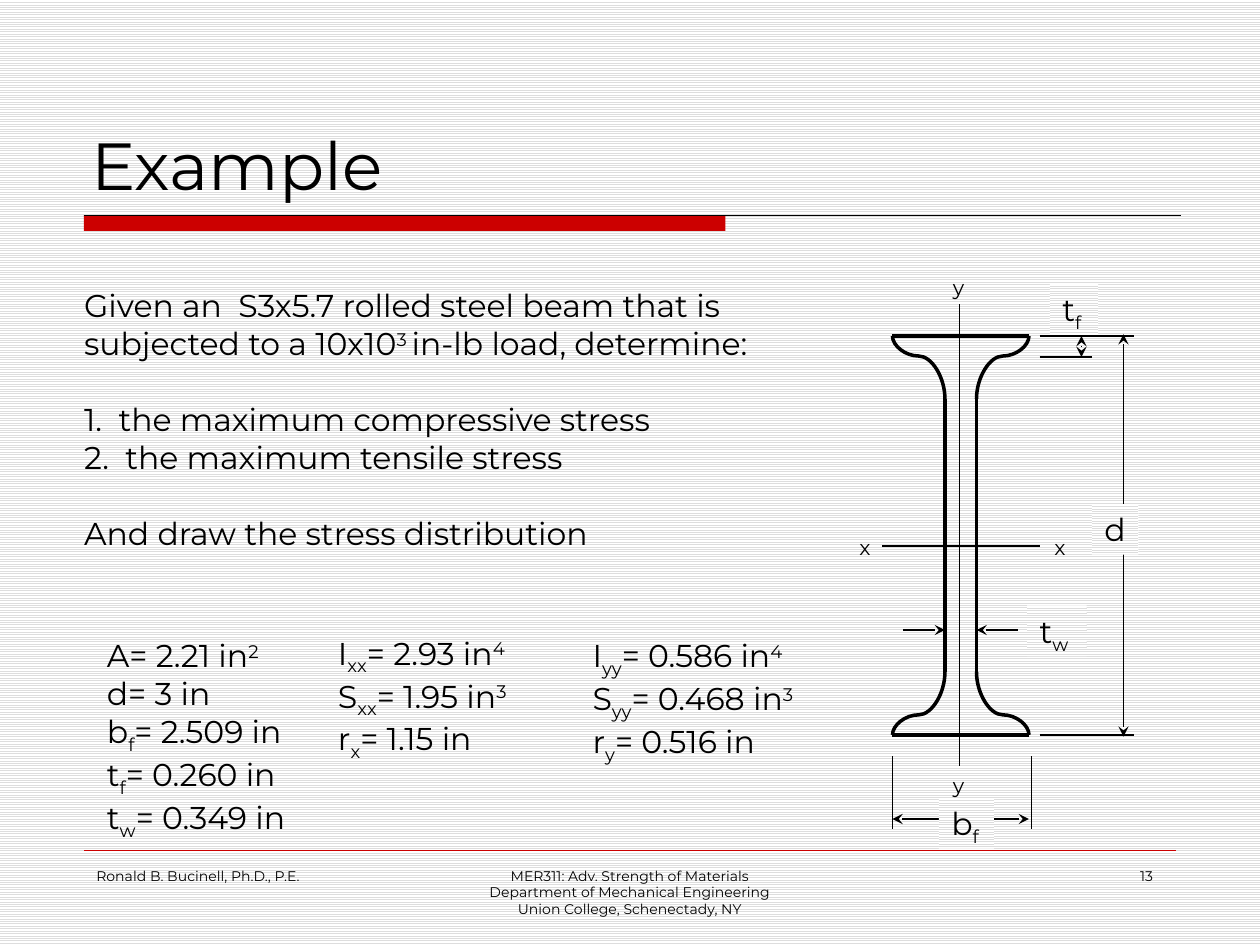
from dataclasses import dataclass

from lxml import etree
from pptx import Presentation
from pptx.dml import color, fill as fills
from pptx.enum import dml, shapes, text
from pptx.oxml import ns
from pptx.util import Pt

FONT = "Montserrat"
BLACK, RED, WHITE, STRIPE = "000000", "CC0000", "FFFFFF", "DDDDDD"

# Beam section edges, in points
FLANGE_LEFT, WEB_LEFT, WEB_RIGHT, FLANGE_RIGHT = 510, 540, 558, 588
TOP, WEB_TOP, WEB_BOTTOM, BOTTOM = 192, 228, 384, 420


@dataclass
class Line:
    x1: float
    y1: float
    x2: float
    y2: float
    width: float = 1
    head: bool = False
    tail: bool = False
    color: str = BLACK


@dataclass
class TextBox:
    """Lines of text; '|' splits runs, '_' starts a subscript, '^' a superscript."""
    left: float
    top: float
    width: float
    height: float
    lines: list[str]
    size: float = 18
    align: text.PP_ALIGN = text.PP_ALIGN.LEFT
    wrap: bool = False
    striped: bool = False
    spaced: tuple[int, ...] = ()  # lines with a line's gap above


def rgb(value: str) -> color.RGBColor:
    return color.RGBColor.from_string(value)


def fill_stripes(fill: fills.FillFormat) -> None:
    fill.patterned()
    fill.pattern = dml.MSO_PATTERN.LIGHT_HORIZONTAL
    fill.fore_color.rgb = rgb(STRIPE)
    fill.back_color.rgb = rgb(WHITE)


def style_connector(connector, width: float, line_color: str) -> None:
    connector.line.width = Pt(width)
    connector.line.color.rgb = rgb(line_color)
    etree.SubElement(connector._element.spPr, ns.qn("a:effectLst"))


def draw_line(slide, line: Line) -> None:
    connector = slide.shapes.add_connector(
        shapes.MSO_CONNECTOR.STRAIGHT,
        Pt(line.x1), Pt(line.y1), Pt(line.x2), Pt(line.y2))
    style_connector(connector, line.width, line.color)
    for tag, wanted in (("a:headEnd", line.head), ("a:tailEnd", line.tail)):
        if wanted:
            outline = connector.line._get_or_add_ln()
            etree.SubElement(outline, ns.qn(tag), type="stealth")


def draw_fillet(slide, side: int, end: int) -> None:
    """Curve from flange tip to web; side -1 left, 1 right; end -1 top, 1 bottom."""
    edges = (FLANGE_LEFT, WEB_LEFT) if side < 0 else (WEB_RIGHT, FLANGE_RIGHT)
    levels = (TOP, WEB_TOP) if end < 0 else (WEB_BOTTOM, BOTTOM)
    center_x, center_y = sum(edges) / 2, sum(levels) / 2
    # The box lies on its side, then is turned a quarter
    dx = -side * (levels[1] - levels[0]) / 2
    dy = end * (edges[1] - edges[0]) / 2
    connector = slide.shapes.add_connector(
        shapes.MSO_CONNECTOR.CURVE,
        Pt(center_x + dx), Pt(center_y + dy), Pt(center_x - dx), Pt(center_y - dy))
    properties = connector._element.spPr
    degrees = 270 if side == end else 90
    properties.find(ns.qn("a:xfrm")).set("rot", str(degrees * 60000))
    geometry = properties.find(ns.qn("a:prstGeom"))
    adjustments = geometry.find(ns.qn("a:avLst"))
    if adjustments is None:
        adjustments = etree.SubElement(geometry, ns.qn("a:avLst"))
    etree.SubElement(adjustments, ns.qn("a:gd"), name="adj1", fmla="val 31900")
    style_connector(connector, 2, BLACK)


def draw_text(slide, box: TextBox) -> None:
    shape = slide.shapes.add_textbox(
        Pt(box.left), Pt(box.top), Pt(box.width), Pt(box.height))
    if box.striped:
        fill_stripes(shape.fill)
    frame = shape.text_frame
    frame.word_wrap = box.wrap
    if not box.wrap:
        frame.auto_size = text.MSO_AUTO_SIZE.SHAPE_TO_FIT_TEXT
    for index, content in enumerate(box.lines):
        paragraph = frame.paragraphs[0] if index == 0 else frame.add_paragraph()
        paragraph.alignment = box.align
        paragraph.font.name = FONT
        paragraph.font.size = Pt(box.size)
        paragraph.font.color.rgb = rgb(BLACK)
        if index in box.spaced:
            paragraph.space_before = Pt(21.9)
        for part in content.split("|"):
            baseline = {"_": "-25000", "^": "30000"}.get(part[0])
            run = paragraph.add_run()
            run.text = part[1:] if baseline else part
            if baseline:
                run._r.get_or_add_rPr().set("baseline", baseline)


LINES = [
    # Title rule and footer rule
    Line(48, 123, 675, 123, 0.75),
    Line(48, 486, 672, 486, 0.25, color=RED),
    # Flanges and web
    *[Line(FLANGE_LEFT, y, FLANGE_RIGHT, y, 2) for y in (TOP, BOTTOM)],
    *[Line(x, WEB_TOP, x, WEB_BOTTOM, 2) for x in (WEB_LEFT, WEB_RIGHT)],
    # Depth
    *[Line(594, y, 648, y) for y in (TOP, BOTTOM)],
    Line(642, 421, 642, 191, head=True, tail=True),
    # Flange thickness
    Line(594, 204, 624, 204),
    Line(618, TOP, 618, 204, head=True, tail=True),
    # Web thickness
    Line(516, 360, WEB_LEFT, 360, tail=True),
    Line(WEB_RIGHT, 360, 582, 360, head=True),
    # Axes
    Line(504, 312, 594, 312, 0.75),
    Line(548.5, 174, 548.5, 438, 0.75),
    # Flange width
    *[Line(x, 432, x, 474) for x in (FLANGE_LEFT, 589.5)],
    Line(FLANGE_LEFT, 468, FLANGE_RIGHT, 468, head=True, tail=True),
]

TEXTS = [
    # Footer
    TextBox(48, 492, 150, 36, ["Ronald B. Bucinell, Ph.D., P.E."], 8, wrap=True),
    TextBox(246, 492, 228, 36,
            ["MER311: Adv. Strength of Materials",
             "Department of Mechanical Engineering",
             "Union College, Schenectady, NY"],
            8, text.PP_ALIGN.CENTER, wrap=True),
    TextBox(516, 492, 150, 36, ["13"], 8, text.PP_ALIGN.RIGHT, wrap=True),
    # Problem statement
    TextBox(41, 160, 415.5, 180,
            ["Given an  S3x5.7 rolled steel beam that is subjected to a "
             "10x10|^3 |in-lb load, determine:",
             "1.  the maximum compressive stress",
             "2.  the maximum tensile stress",
             "And draw the stress distribution"],
            wrap=True, spaced=(1, 3)),
    # Dimension labels
    TextBox(624, 288, 26.5, 29, ["d"], striped=True),
    TextBox(600, 162, 27.5, 29, ["t|_f"], striped=True),
    TextBox(587, 346, 34, 29, ["t|_w"], striped=True),
    TextBox(536.5, 456, 31.5, 29, ["b|_f"], striped=True),
    # Axis labels
    *[TextBox(x, 302, 22, 22, ["x"], 12) for x in (484, 595.5)],
    *[TextBox(537.5, y, 22, 22, ["y"], 12) for y in (153.5, 438)],
    # Section properties
    TextBox(54, 360, 131, 117,
            ["A= 2.21 in|^2", "d= 3 in", "b|_f|= 2.509 in",
             "t|_f|= 0.260 in", "t|_w|= 0.349 in"]),
    TextBox(186, 358.5, 137, 73,
            ["I|_xx|= 2.93 in|^4", "S|_xx|= 1.95 in|^3", "r|_x|= 1.15 in"]),
    TextBox(331.5, 360, 147.5, 73,
            ["I|_yy|= 0.586 in|^4", "S|_yy|= 0.468 in|^3", "r|_y|= 0.516 in"]),
]


def main() -> None:
    presentation = Presentation()
    presentation.slide_width, presentation.slide_height = Pt(720), Pt(540)
    slide = presentation.slides.add_slide(presentation.slide_layouts[5])
    fill_stripes(slide.background.fill)

    # Title
    title = slide.shapes.title
    title.left, title.top, title.width, title.height = Pt(45), Pt(24), Pt(630), Pt(96)
    frame = title.text_frame
    frame.text = "Example"
    frame.auto_size = text.MSO_AUTO_SIZE.NONE
    frame.vertical_anchor = text.MSO_ANCHOR.BOTTOM
    paragraph = frame.paragraphs[0]
    paragraph.alignment = text.PP_ALIGN.LEFT
    paragraph.font.name, paragraph.font.size = FONT, Pt(38)
    paragraph.font.color.rgb = rgb(BLACK)

    # Red bar under the title
    bar = slide.shapes.add_shape(
        shapes.MSO_SHAPE.RECTANGLE, Pt(48), Pt(123), Pt(366.5), Pt(9))
    bar.shadow.inherit = False
    bar.fill.solid()
    bar.fill.fore_color.rgb = rgb(RED)
    bar.line.fill.background()

    # Beam, dimensions and text
    for side in (-1, 1):
        for end in (-1, 1):
            draw_fillet(slide, side, end)
    for line in LINES:
        draw_line(slide, line)
    for box in TEXTS:
        draw_text(slide, box)

    presentation.save("out.pptx")


if __name__ == "__main__":
    main()
